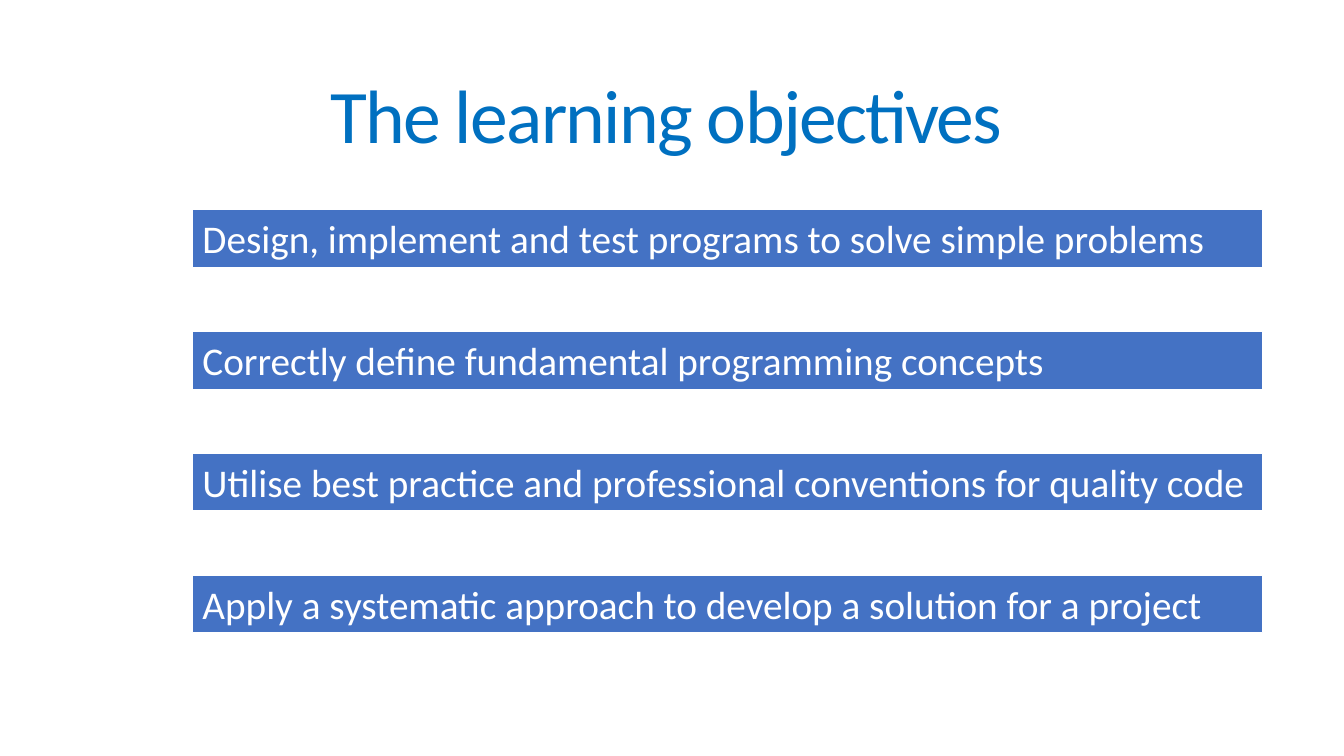
import pptx
import pptx.dml.color
import pptx.enum.shapes
import pptx.enum.text
import pptx.util

ALIGN = pptx.enum.text.PP_ALIGN
ANCHOR = pptx.enum.text.MSO_ANCHOR
OBJECTIVES = [
    "Design, implement and test programs to solve simple problems",
    "Correctly define fundamental programming concepts",
    "Utilise best practice and professional conventions for quality code",
    "Apply a systematic approach to develop a solution for a project",
]


def rgb(value):
    return pptx.dml.color.RGBColor.from_string(value)


class Deck:
    """Holds the style and current slide, placing elements on a grid of 0.1 inch cells."""

    cell = 0.1
    font = "Calibri"
    title_color, bar_color, light = "0070C0", "4472C4", "FFFFFF"

    def __init__(self):
        self.prs = pptx.Presentation()
        self.prs.slide_width = pptx.util.Inches(13.33)
        self.prs.slide_height = pptx.util.Inches(7.5)
        self.s = self.prs.slides.add_slide(self.prs.slide_layouts[5])

    def box(self, col, row, cols, rows):
        return [pptx.util.Inches(n * self.cell) for n in (col, row, cols, rows)]

    def put_text(self, sp, text, size, color, align, anchor, autosize):
        tf = sp.text_frame
        frame = {"word_wrap": True, "vertical_anchor": anchor, "auto_size": autosize}
        for name, value in frame.items():
            setattr(tf, name, value)
        p = tf.paragraphs[0]
        p.alignment = align
        r = p.add_run()
        r.text = text
        for name, value in {"name": self.font, "size": pptx.util.Pt(size)}.items():
            setattr(r.font, name, value)
        r.font.color.rgb = rgb(color)
        return p, r

    def title(self, text, *cells):
        sp = self.s.shapes.title
        for name, value in zip(("left", "top", "width", "height"), self.box(*cells)):
            setattr(sp, name, value)
        p, r = self.put_text(sp, text, 54, self.title_color, ALIGN.CENTER,
                             ANCHOR.MIDDLE, pptx.enum.text.MSO_AUTO_SIZE.NONE)
        p.line_spacing = 0.85
        r._r.get_or_add_rPr().set("spc", "-120")

    def bar(self, text, *cells):
        sp = self.s.shapes.add_shape(
            pptx.enum.shapes.MSO_SHAPE.RECTANGLE, *self.box(*cells))
        sp.shadow.inherit = False
        sp.fill.solid()
        sp.fill.fore_color.rgb = rgb(self.bar_color)
        sp.line.color.rgb = rgb(self.light)
        sp.line.width = pptx.util.Pt(0.75)
        self.put_text(sp, text, 28, self.light, ALIGN.LEFT, ANCHOR.TOP,
                      pptx.enum.text.MSO_AUTO_SIZE.SHAPE_TO_FIT_TEXT)


def main():
    deck = Deck()
    deck.title("The learning objectives", 7.2, 2.9, 117.8, 18.1)
    for i, objective in enumerate(OBJECTIVES):
        deck.bar(objective, 19.1, 20.8 + 12.1 * i, 106.1, 5.7)
    deck.prs.save("out.pptx")


if __name__ == "__main__":
    main()
